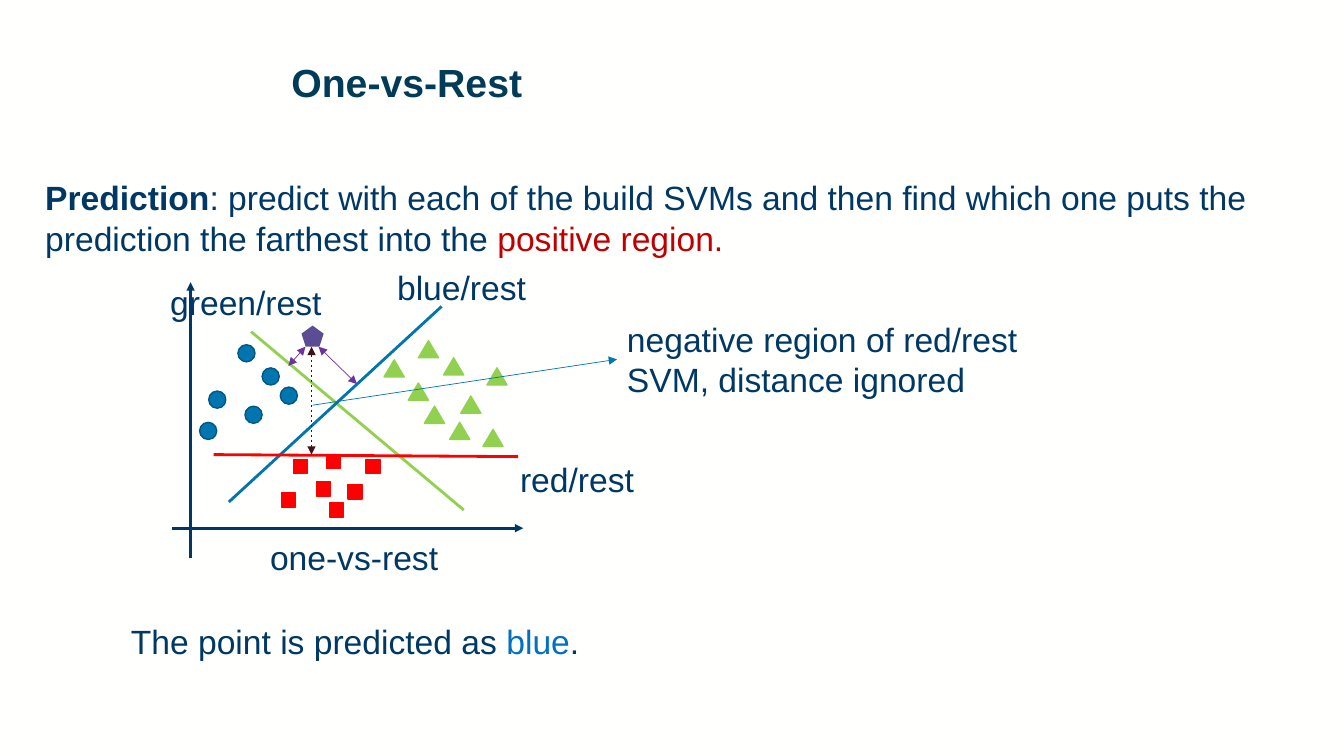
import pptx
import pptx.util
import pptx.dml.color
import pptx.enum.dml
import pptx.enum.shapes
import pptx.enum.text
import pptx.oxml.ns
import pptx.oxml.xmlchemy

Inches = pptx.util.Inches
Pt = pptx.util.Pt
RGB = pptx.dml.color.RGBColor.from_string
Shape = pptx.enum.shapes.MSO_SHAPE
Element = pptx.oxml.xmlchemy.OxmlElement
qn = pptx.oxml.ns.qn

COLORS = {
    "back": "FFFFFE", "title": "003B58", "navy": "003865",
    "blue": "0075B0", "rim": "005782", "red": "FF0000", "green": "92D050",
    "point": "5B4D93", "purple": "7030A0", "dark": "3E111C",
    "warn": "C00000", "class": "0070C0",
}

deck = pptx.Presentation()
deck.slide_width, deck.slide_height = Inches(13.33), Inches(7.5)
slide = deck.slides.add_slide(deck.slide_layouts[5])
slide.background.fill.solid()
slide.background.fill.fore_color.rgb = RGB(COLORS["back"])


def write(*runs, at, box=None, size=24, spacing=None):
    """Fill a box with runs, each given as (text, colour, bold)."""
    box = box or slide.shapes.add_textbox(0, 0, 0, 0)
    box.left, box.top, box.width, box.height = map(Inches, at)
    frame = box.text_frame
    frame.word_wrap = True
    frame.vertical_anchor = pptx.enum.text.MSO_ANCHOR.TOP
    line = frame.paragraphs[0]
    line.alignment = pptx.enum.text.PP_ALIGN.LEFT
    line.line_spacing = spacing
    for text, color, bold in runs:
        run = line.add_run()
        run.text = text
        run.font.name, run.font.size, run.font.bold = "Arial", Pt(size), bold
        run.font.color.rgb = RGB(COLORS[color])
    return box


def draw(x1, y1, x2, y2, color, width, ends=(), dash=False):
    """Draw a straight line; ends lists headEnd and tailEnd arrowheads."""
    line = slide.shapes.add_connector(
        pptx.enum.shapes.MSO_CONNECTOR.STRAIGHT, *map(Inches, (x1, y1, x2, y2)))
    line.line.color.rgb = RGB(COLORS[color])
    line.line.width = Pt(width)
    if dash:
        line.line.dash_style = pptx.enum.dml.MSO_LINE.DASH
    props = line._element.spPr
    for end in ends:
        head = Element("a:" + end)
        head.set("type", "triangle")
        props.find(qn("a:ln")).append(head)
    props.append(Element("a:effectLst"))
    return line


# Title
write(("One-vs-Rest", "title", True), at=(2.79, 0.58, 10.07, 0.97),
      box=slide.shapes.title, size=28, spacing=0.9)

# Axes
draw(1.71, 5.24, 5.19, 5.24, "navy", 2, ["tailEnd"])
draw(1.89, 5.54, 1.89, 2.8, "navy", 2, ["tailEnd"])

# Data points of the three classes and the new point
groups = [
    (Shape.OVAL, 0.17, 0.17, "blue", "rim",
     [(2.36, 3.42), (2.6, 3.65), (2.07, 3.88), (2.43, 4.03), (2.78, 3.84),
      (1.98, 4.19)]),
    (Shape.RECTANGLE, 0.14, 0.14, "red", "red",
     [(2.91, 4.56), (3.14, 4.78), (3.45, 4.81), (2.79, 4.89), (3.63, 4.56),
      (3.24, 4.51), (3.27, 4.99)]),
    (Shape.ISOSCELES_TRIANGLE, 0.2, 0.17, "green", "green",
     [(3.81, 3.57), (4.05, 3.8), (4.21, 4.03), (4.4, 3.55), (4.57, 3.93),
      (4.15, 3.38), (4.46, 4.19), (4.79, 4.26), (4.83, 3.65)]),
    (Shape.REGULAR_PENTAGON, 0.22, 0.21, "point", None, [(2.99, 3.23)]),
]
for kind, wide, high, fill, rim, spots in groups:
    for x, y in spots:
        mark = slide.shapes.add_shape(kind, *map(Inches, (x, y, wide, high)))
        mark.shadow.inherit = False
        mark.fill.solid()
        mark.fill.fore_color.rgb = RGB(COLORS[fill])
        if rim:
            mark.line.color.rgb = RGB(COLORS[rim])
            mark.line.width = Pt(1)
        else:
            mark.line.fill.background()

# Decision lines
draw(2.49, 3.29, 4.6, 5.06, "green", 2)
draw(4.38, 3.04, 2.27, 4.98, "blue", 2)
draw(5.14, 4.53, 2.12, 4.51, "red", 2)

# Labels
labels = [
    ("one-vs-rest", 2.58, 5.28, 1.97),
    ("blue/rest", 3.84, 2.6, 1.52),
    ("green/rest", 1.59, 2.75, 1.73),
    ("red/rest", 5.06, 4.5, 1.39),
]
for text, x, y, wide in labels:
    write((text, "navy", False), at=(x, y, wide, 0.5))

# Explanations
write(("Prediction", "navy", True),
      (": predict with each of the build SVMs and then find which one puts "
       "the prediction the farthest into the ", "navy", False),
      ("positive region.", "warn", False), at=(0.35, 1.71, 12.15, 0.91))
note = write(("negative region of red/rest SVM, distance ignored", "navy", False),
             at=(6.12, 3.11, 4.49, 0.91))
write(("The point is predicted as ", "navy", False), ("blue", "class", False),
      (".", "navy", False), at=(1.2, 6.11, 4.79, 0.5))

# Distances from the new point to the decision lines
both = ["headEnd", "tailEnd"]
draw(3.03, 3.44, 2.86, 3.63, "purple", 0.5, both)
draw(3.16, 3.44, 3.54, 3.81, "purple", 0.5, both)
draw(3.09, 3.44, 3.09, 4.51, "dark", 0.5, both, dash=True)
draw(3.1, 4.02, 6.12, 3.57, "blue", 0.5, ["tailEnd"]).end_connect(note, 1)

deck.save("out.pptx")
